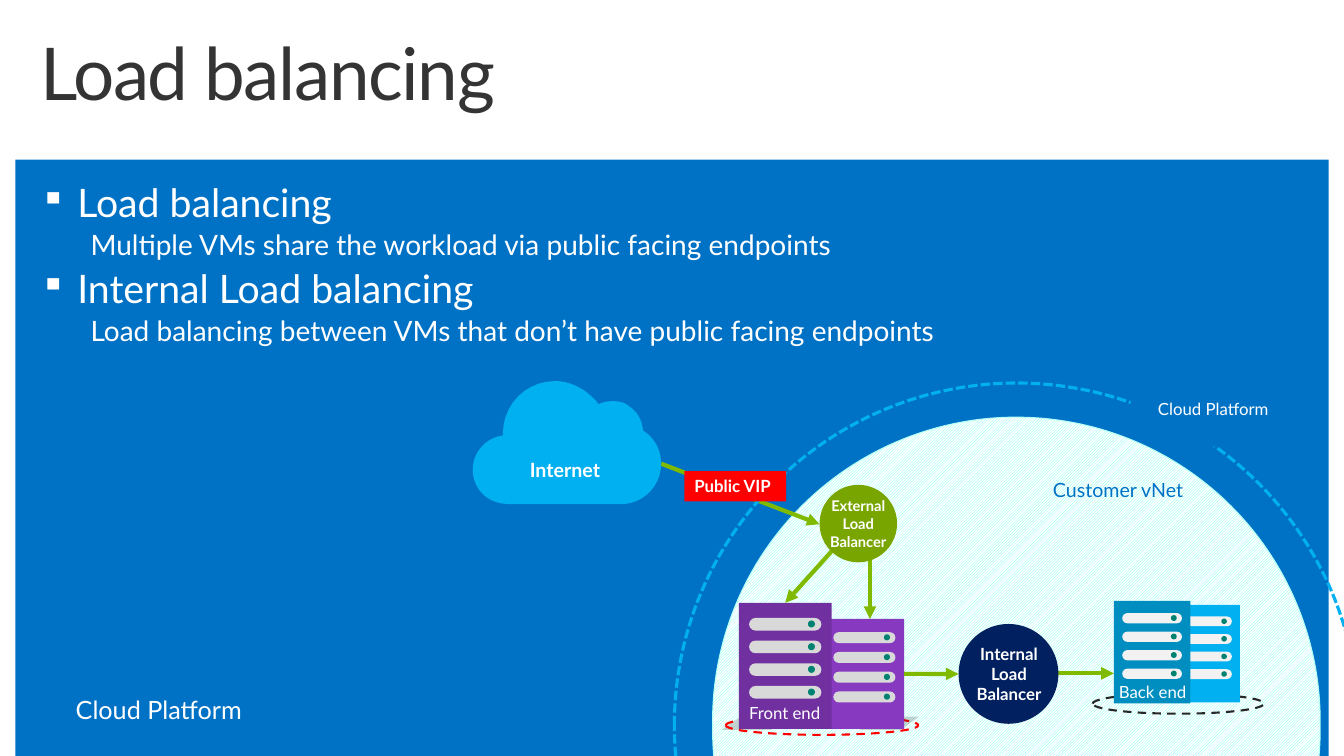
import dataclasses

import pptx
import pptx.dml.color
import pptx.enum.dml
import pptx.enum.shapes
import pptx.enum.text
import pptx.oxml
import pptx.oxml.ns
import pptx.util

Pt = pptx.util.Pt
SHAPE = pptx.enum.shapes.MSO_SHAPE
DASH = pptx.enum.dml.MSO_LINE
ALIGN = pptx.enum.text.PP_ALIGN
ANCHOR = pptx.enum.text.MSO_ANCHOR


@dataclasses.dataclass(frozen=True)
class Theme:
    font: str = "Lato"
    blue: str = "0072C6"
    white: str = "FFFFFF"
    dark: str = "343434"
    sky: str = "00B0F0"
    teal: str = "008EC0"
    purple: str = "7030A0"
    violet: str = "873AC0"
    navy: str = "002060"
    olive: str = "79A500"
    arrow: str = "7FBA00"
    red: str = "FF0000"
    light: str = "008272"
    front_bar: str = "D9D9D9"
    back_bar: str = "F2F2F2"
    shade: str = "1A1A1A"
    ring: str = "272727"
    hatch: str = "67FFEC"
    hatch_edge: str = "B3FFF6"
    title: float = 52
    heading: float = 28
    detail: float = 20
    footer: float = 18
    label: float = 14
    small: float = 12
    tiny: float = 10.5


THEME = Theme()

# Cloud outline: start point, then Bezier curves, on a grid 187 wide
CLOUD_WIDTH = 187
CLOUD_START = (30, 54)
CLOUD_CURVES = [
    ((30, 53), (30, 52), (30, 52)),
    ((30, 23), (53, 0), (82, 0)),
    ((99, 0), (115, 10), (125, 23)),
    ((129, 21), (134, 20), (139, 20)),
    ((145, 20), (151, 21), (155, 25)),
    ((163, 30), (168, 38), (169, 49)),
    ((180, 56), (187, 68), (187, 82)),
    ((187, 103), (171, 120), (151, 122)),
    ((151, 122), (35, 122), (35, 122)),
    ((15, 122), (0, 107), (0, 88)),
    ((0, 71), (13, 56), (30, 54)),
]
CURVE_STEPS = 10


def rgb(value):
    return pptx.dml.color.RGBColor.from_string(value)


def add_element(parent, tag, **attributes):
    child = parent.makeelement(pptx.oxml.ns.qn(tag), attributes)
    parent.append(child)
    return child


def paint(shape, fill=None, line=None, width=1.5, dash=None):
    shape.shadow.inherit = False
    if fill:
        shape.fill.solid()
        shape.fill.fore_color.rgb = rgb(fill)
    else:
        shape.fill.background()
    if line:
        shape.line.color.rgb = rgb(line)
        shape.line.width = Pt(width)
        shape.line.dash_style = dash
    else:
        shape.line.fill.background()
    return shape


def add_shape(page, kind, at, fill=None, **outline):
    return paint(page.shapes.add_shape(kind, *map(Pt, at)), fill, **outline)


def style(para, size, color, bold=False):
    for span in para.runs:
        span.font.name = THEME.font
        span.font.size = Pt(size)
        span.font.bold = bold
        span.font.color.rgb = rgb(color)


def write(box, words, size, color=THEME.white, bold=False, align=ALIGN.LEFT,
          anchor=ANCHOR.TOP, wrap=True):
    frame = box.text_frame
    frame.word_wrap = wrap
    frame.vertical_anchor = anchor
    frame.text = words
    frame.paragraphs[0].alignment = align
    style(frame.paragraphs[0], size, color, bold)
    return box


def add_text(page, at, words, size, **look):
    return write(page.shapes.add_textbox(*map(Pt, at)), words, size, **look)


def add_topics(page, at, topics):
    frame = page.shapes.add_textbox(*map(Pt, at)).text_frame
    frame.word_wrap = True
    lines = [line for heading, detail in topics
             for line in ((heading, THEME.heading, True), (detail, THEME.detail, False))]
    for index, (words, size, bulleted) in enumerate(lines):
        para = frame.add_paragraph() if index else frame.paragraphs[0]
        para.text = words
        para.line_spacing = 0.9
        if index:
            para.space_before = Pt(0.2 * size)
        properties = para._p.get_or_add_pPr()
        if bulleted:
            properties.set("marL", str(Pt(26.6)))
            properties.set("indent", str(-Pt(26.6)))
            color = add_element(properties, "a:buClr")
            add_element(color, "a:srgbClr", val=THEME.white)
            add_element(properties, "a:buSzPct", val="90000")
            add_element(properties, "a:buChar", char="▪")
        else:
            para.level = 1
            properties.set("marL", str(Pt(36)))
            properties.set("indent", "0")
            add_element(properties, "a:buNone")
        style(para, size, THEME.white)


def add_arrow(page, start, end, begin_at=None, end_at=None):
    arrow = page.shapes.add_connector(
        pptx.enum.shapes.MSO_CONNECTOR.STRAIGHT, *map(Pt, start + end))
    if begin_at:
        arrow.begin_connect(*begin_at)
    if end_at:
        arrow.end_connect(*end_at)
    arrow.line.color.rgb = rgb(THEME.arrow)
    arrow.line.width = Pt(3)
    add_element(arrow.line._get_or_add_ln(), "a:tailEnd", type="triangle")
    add_element(arrow._element.spPr, "a:effectLst")


def add_cloud(page, left, top, width, fill):
    unit = width / CLOUD_WIDTH
    points = [CLOUD_START]
    for first, second, last in CLOUD_CURVES:
        origin = points[-1]
        for step in range(1, CURVE_STEPS + 1):
            t = step / CURVE_STEPS
            s = 1 - t
            points.append(tuple(
                s**3 * a + 3 * s * s * t * b + 3 * s * t * t * c + t**3 * d
                for a, b, c, d in zip(origin, first, second, last)))
    places = [(Pt(left + x * unit), Pt(top + y * unit)) for x, y in points]
    builder = page.shapes.build_freeform(*places[0], scale=1.0)
    builder.add_line_segments(places[1:], close=True)
    paint(builder.convert_to_shape(), fill)


def add_server(page, left, top, width, height, fill, bar_fill):
    case = add_shape(page, SHAPE.RECTANGLE, (left, top, width, height), fill)
    dot = 0.076 * width
    for row in range(4):
        bar_top = top + (0.12 + 0.18 * row) * height
        bar = add_shape(page, SHAPE.ROUNDED_RECTANGLE,
                        (left + 0.11 * width, bar_top, 0.78 * width, 0.1 * height), bar_fill)
        bar.adjustments[0] = 0.5
        add_shape(page, SHAPE.OVAL,
                  (left + 0.745 * width, bar_top + 0.02 * height, dot, dot), THEME.light)
    return case


def add_ground_shade(page, at):
    shade = add_shape(page, SHAPE.PARALLELOGRAM, at, THEME.shade)
    shade.adjustments[0] = 1.46
    add_element(shade.fill.fore_color._xFill[0], "a:alpha", val="19000")


def add_balancer(page, circle, label, words, size, fill):
    add_shape(page, SHAPE.OVAL, circle, fill)
    add_text(page, label, words, size, bold=True, align=ALIGN.CENTER, anchor=ANCHOR.MIDDLE)


def main():
    deck = pptx.Presentation()
    deck.slide_width, deck.slide_height = Pt(960), Pt(540)
    page = deck.slides.add_slide(deck.slide_layouts[6])
    page.background.fill.solid()
    page.background.fill.fore_color.rgb = rgb(THEME.blue)

    # White frame, title and topics
    for edge in ((0, 0, 11, 540), (949, 0, 11, 540), (0, 0, 960, 114)):
        add_shape(page, SHAPE.RECTANGLE, edge, THEME.white)
    title = add_text(page, (21.6, 23, 778, 73), "Load balancing", THEME.title, color=THEME.dark)
    heading = title.text_frame.paragraphs[0]
    heading.line_spacing = 0.9
    heading.runs[0].font._element.set("spc", "-100")
    add_topics(page, (21.6, 127.5, 914, 376), [
        ("Load balancing", "Multiple VMs share the workload via public facing endpoints"),
        ("Internal Load balancing",
         "Load balancing between VMs that don’t have public facing endpoints"),
    ])
    add_text(page, (47, 492.5, 141, 29), "Cloud Platform", THEME.footer, wrap=False)

    # Customer network
    network = add_shape(page, SHAPE.ROUNDED_RECTANGLE, (509, 298, 434, 440),
                        line=THEME.hatch_edge, width=0.75)
    network.adjustments[0] = 0.5
    network.fill.patterned()
    network.fill.pattern = pptx.enum.dml.MSO_PATTERN.LIGHT_UPWARD_DIAGONAL
    network.fill.fore_color.rgb = rgb(THEME.hatch)
    network.fill.back_color.rgb = rgb(THEME.white)
    add_text(page, (745, 337.7, 108, 24.5), "Customer vNet", THEME.label,
             color=THEME.blue, wrap=False)

    # Back end servers
    add_shape(page, SHAPE.OVAL, (780.5, 495.4, 122.4, 14.4), line=THEME.ring, dash=DASH.DASH)
    add_server(page, 833.8, 432, 51.8, 69.8, THEME.sky, THEME.back_bar)
    add_server(page, 795.6, 429.1, 54.7, 73.4, THEME.teal, THEME.back_bar)
    add_text(page, (787.7, 483.1, 71.3, 21.6), "Back end", THEME.small, align=ALIGN.CENTER)

    # Front end servers
    add_ground_shade(page, (515.5, 510.5, 51.1, 10.8))
    add_shape(page, SHAPE.OVAL, (518.4, 511.2, 137.5, 13.7), line=THEME.red, dash=DASH.DASH)
    add_ground_shade(page, (614.2, 511.9, 42.5, 9.4))
    rear = add_server(page, 589, 442.1, 56.9, 78.5, THEME.violet, THEME.front_bar)
    front = add_server(page, 527.8, 430.6, 66.2, 90, THEME.purple, THEME.front_bar)
    add_text(page, (522, 498.2, 77, 21.6), "Front end", THEME.small, align=ALIGN.CENTER)

    # Traffic arrows and balancers
    add_arrow(page, (472.3, 331.2), (585.4, 374.4))
    add_arrow(page, (621.4, 398.2), (621.4, 442.1))
    add_arrow(page, (594, 393.8), (560.9, 430.6), end_at=(front, 0))
    add_arrow(page, (645.9, 481.4), (684.7, 481.4), begin_at=(rear, 3))
    add_arrow(page, (756, 481), (795.6, 481))
    add_balancer(page, (585.4, 346.3, 55.4, 55.4), (583.9, 350.6, 58.3, 46.8),
                 "External Load Balancer", THEME.tiny, THEME.olive)
    add_balancer(page, (684.7, 445.7, 71.3, 71.3), (683.3, 451.4, 74.9, 59.8),
                 "Internal Load Balancer", THEME.small, THEME.navy)

    # Internet cloud and hosting boundary
    add_cloud(page, 337.7, 272.2, 134.6, THEME.sky)
    internet = add_text(page, (344.2, 310.3, 111.6, 51.8), "Internet", THEME.label, bold=True,
                        align=ALIGN.CENTER, anchor=ANCHOR.MIDDLE)
    frame = internet.text_frame
    frame.margin_top = frame.margin_right = frame.margin_bottom = 0
    frame.paragraphs[0].line_spacing = 0.9
    add_shape(page, SHAPE.OVAL, (481.7, 273.6, 488.9, 488.9),
              line=THEME.sky, width=2.25, dash=DASH.SQUARE_DOT)
    add_cloud(page, 805.7, 238.3, 123.8, THEME.blue)
    add_text(page, (820, 281.5, 107.3, 21.6), "Cloud Platform", THEME.small)
    address = add_shape(page, SHAPE.RECTANGLE, (488.9, 336.5, 72.7, 21.6), THEME.red)
    write(address, "Public VIP", THEME.small, bold=True)

    deck.save("out.pptx")


if __name__ == "__main__":
    main()
